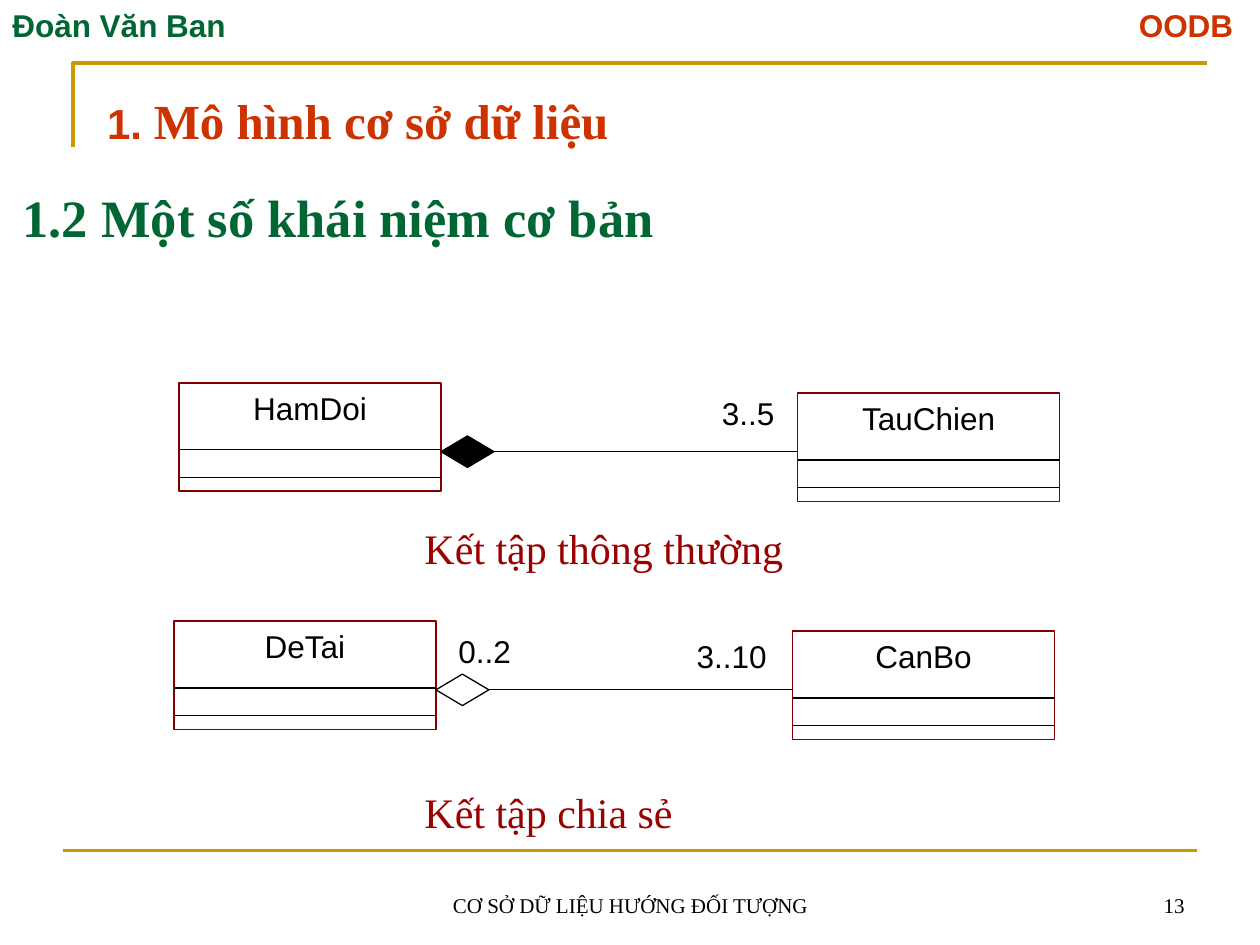
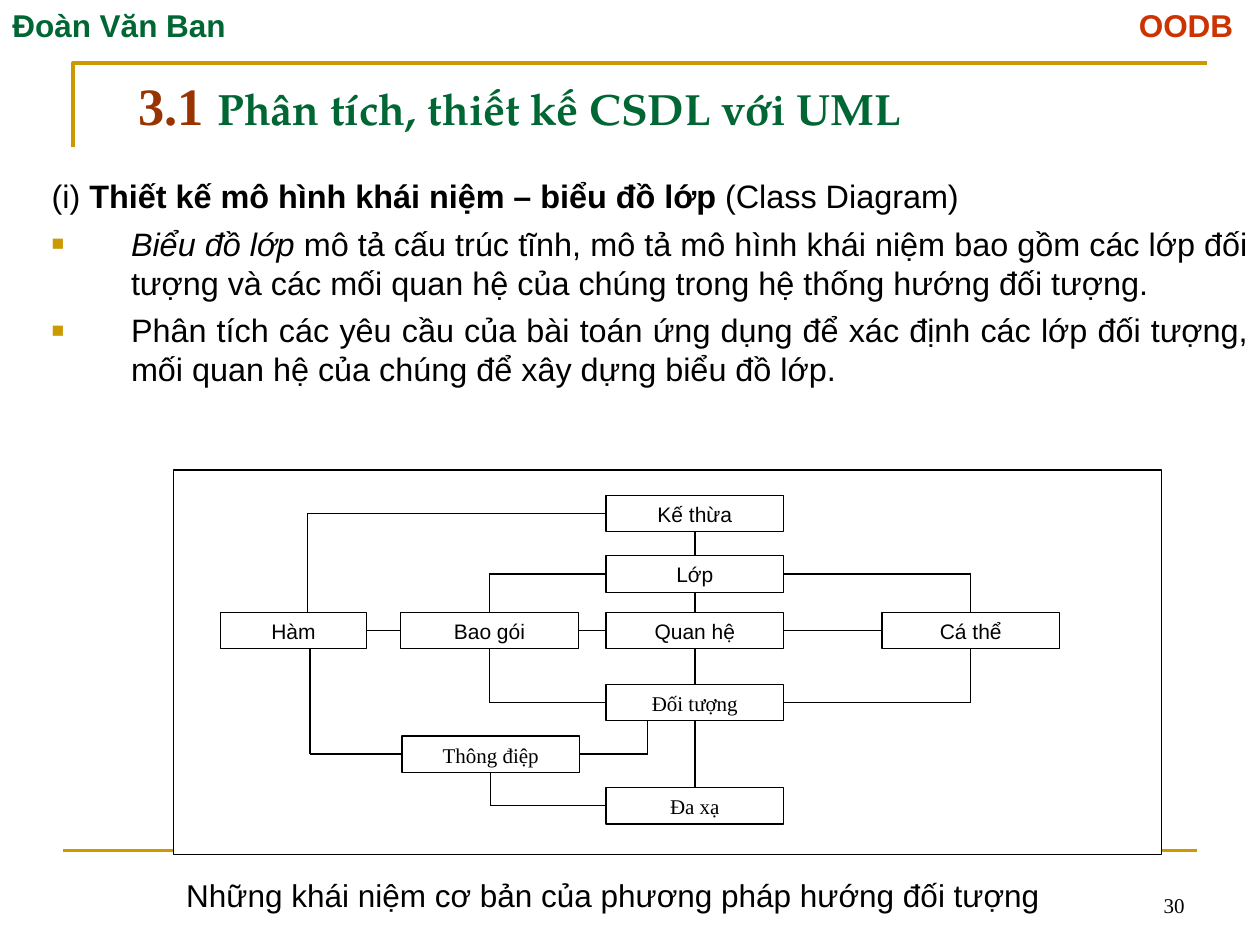
from lxml.etree import SubElement
from pptx import Presentation
from pptx.dml.color import RGBColor
from pptx.enum.shapes import MSO_CONNECTOR, MSO_SHAPE
from pptx.enum.text import MSO_ANCHOR as Anchor, MSO_AUTO_SIZE, PP_ALIGN as Align
from pptx.oxml.ns import qn
from pptx.shapes.base import BaseShape
from pptx.util import Inches, Pt

GREEN = RGBColor(0x00, 0x66, 0x33)
ORANGE = RGBColor(0xCC, 0x33, 0x00)
BROWN = RGBColor(0x99, 0x33, 0x00)
RED = RGBColor(0x99, 0x00, 0x00)
MAROON = RGBColor(0x80, 0x00, 0x00)
GOLD = RGBColor(0xCC, 0x99, 0x00)
BLACK = RGBColor(0x00, 0x00, 0x00)
WHITE = RGBColor(0xFF, 0xFF, 0xFF)
SANS, SERIF, DISPLAY = "Arial", "Times New Roman", "TeX Gyre Pagella"

TOP, LEFT, BOTTOM, RIGHT = range(4)
SITE_OFFSETS = {TOP: (0.5, 0), LEFT: (0, 0.5), BOTTOM: (0.5, 1), RIGHT: (1, 0.5)}


def add_span(para, text, size=18, font=SANS, color=BLACK, bold=False, italic=False):
    span = para.add_run()
    span.text = text
    span.font.size, span.font.name = Pt(size), font
    span.font.bold, span.font.italic = bold, italic
    span.font.color.rgb = color


def point(x, y):
    return Inches(x), Inches(y)


def locate(end):
    if not isinstance(end[0], BaseShape):
        return end
    shape, site = end
    across, down = SITE_OFFSETS[site]
    return int(shape.left + shape.width * across), int(shape.top + shape.height * down)


def set_indent(para, hanging, bullet=False):
    props = para._p.get_or_add_pPr()
    props.set("marL", str(Inches(hanging)))
    props.set("indent", str(-Inches(hanging)))
    if not bullet:
        SubElement(props, qn("a:buNone"))
        return
    color = SubElement(props, qn("a:buClr"))
    SubElement(color, qn("a:srgbClr"), val=str(GOLD))
    SubElement(props, qn("a:buSzPct"), val="65000")
    SubElement(props, qn("a:buFont"), typeface=SANS)
    SubElement(props, qn("a:buChar"), char="■")


class Lecture:
    def __init__(self):
        self.deck = Presentation()
        self.deck.slide_width, self.deck.slide_height = Inches(10), Inches(7.5)
        self.page = None

    def new_page(self, number, footer=None):
        layout = self.deck.slide_layouts[1]
        self.page = self.deck.slides.add_slide(layout)
        builder = self.page.shapes.build_freeform(*point(0.58, 1.17))
        builder.add_line_segments([point(0.58, 0.5), point(9.58, 0.5)], close=False)
        frame_line = builder.convert_to_shape()
        frame_line.shadow.inherit = False
        frame_line.fill.background()
        frame_line.line.color.rgb, frame_line.line.width = GOLD, Pt(2.25)
        self.line(point(0.5, 6.75), point(9.5, 6.75), GOLD, 1.5)

        header = self.text("Đoàn Văn Ban\t", 0, 0, 10, 0.4, color=GREEN, bold=True)
        para = header.text_frame.paragraphs[0]
        add_span(para, "OODB", color=ORANGE, bold=True)
        tabs = SubElement(para._p.get_or_add_pPr(), qn("a:tabLst"))
        SubElement(tabs, qn("a:tab"), pos=str(Inches(9.69)), algn="r")

        small = dict(size=12, font=SERIF, anchor=Anchor.BOTTOM)
        if footer:
            self.text(footer, 3.42, 6.83, 3.17, 0.5, align=Align.CENTER, **small)
        self.text(number, 7.17, 6.83, 2.33, 0.5, align=Align.RIGHT, **small)

    def prepare(self, box, align=Align.LEFT, anchor=Anchor.TOP):
        frame = box.text_frame
        frame.word_wrap, frame.auto_size = True, MSO_AUTO_SIZE.NONE
        frame.vertical_anchor = anchor
        frame.paragraphs[0].alignment = align
        return frame.paragraphs[0]

    def text(self, text, x, y, width, height, align=Align.LEFT, anchor=Anchor.TOP, **style):
        box = self.page.shapes.add_textbox(*point(x, y), *point(width, height))
        add_span(self.prepare(box, align, anchor), text, **style)
        return box

    def placeholder(self, index, x, y, width, height, anchor=Anchor.TOP):
        box = self.page.placeholders[index]
        box.left, box.top = point(x, y)
        box.width, box.height = point(width, height)
        self.prepare(box, anchor=anchor)
        return box.text_frame

    def title(self, x, y, width, height, anchor, spans):
        para = self.placeholder(0, x, y, width, height, anchor).paragraphs[0]
        for text, style in spans:
            add_span(para, text, bold=True, **style)

    def shape(self, x, y, width, height, kind=MSO_SHAPE.RECTANGLE, fill=None,
              color=BLACK, weight=0.75, text=None, **style):
        shape = self.page.shapes.add_shape(kind, *point(x, y), *point(width, height))
        shape.shadow.inherit = False
        if fill is None:
            shape.fill.background()
        else:
            shape.fill.solid()
            shape.fill.fore_color.rgb = fill
        shape.line.color.rgb, shape.line.width = color, Pt(weight)
        if text:
            add_span(self.prepare(shape, Align.CENTER), text, **style)
        return shape

    def line(self, start, end, color=BLACK, weight=0.75):
        line = self.page.shapes.add_connector(
            MSO_CONNECTOR.STRAIGHT, *locate(start), *locate(end))
        line.line.color.rgb, line.line.width = color, Pt(weight)
        SubElement(line._element.spPr, qn("a:effectLst"))
        if isinstance(start[0], BaseShape):
            line.begin_connect(*start)
        if isinstance(end[0], BaseShape):
            line.end_connect(*end)

    def bend(self, start, end):
        corner = locate(end)[0], locate(start)[1]
        self.line(start, corner)
        self.line(corner, end)

    def class_box(self, name, x, y):
        width, height = 2.08, 0.86
        self.shape(x, y, width, height, color=MAROON, weight=1, text=name)
        for offset in (0.53, 0.75):
            self.line(point(x, y + offset), point(x + width, y + offset))

    def aggregation(self, whole, part, x, y, fill):
        self.class_box(whole, x, y)
        self.class_box(part, x + 4.91, y + 0.08)
        diamond = self.shape(x + 2.08, y + 0.42, 0.42, 0.25,
                             kind=MSO_SHAPE.FLOWCHART_DECISION, fill=fill)
        level = locate((diamond, RIGHT))[1]
        self.line((diamond, RIGHT), (Inches(x + 4.91), level))


def build_aggregation_page(lecture):
    lecture.new_page("13", "CƠ SỞ DỮ LIỆU HƯỚNG ĐỐI TƯỢNG")
    lecture.title(0.75, 0.67, 9.25, 0.57, Anchor.TOP, [
        ("1. ", dict(size=24, color=ORANGE)),
        ("Mô hình cơ sở dữ liệu", dict(size=28, font=SERIF, color=ORANGE)),
    ])
    para = lecture.placeholder(1, 0.08, 1.42, 9.92, 1.25).paragraphs[0]
    set_indent(para, 0.38)
    add_span(para, "1.2 Một số khái niệm cơ bản", size=30, font=SERIF,
             color=GREEN, bold=True)

    lecture.aggregation("HamDoi", "TauChien", 1.42, 3.04, BLACK)
    lecture.aggregation("DeTai", "CanBo", 1.38, 4.93, WHITE)
    for label, x, y in [("3..5", 5.63, 3.08), ("0..2", 3.54, 4.97), ("3..10", 5.43, 5.01)]:
        lecture.text(label, x, y, 0.79, 0.4)
    for caption, y in [("Kết tập thông thường", 4.1), ("Kết tập chia sẻ", 6.19)]:
        lecture.text(caption, 3.27, y, 3.19, 0.47, size=24, font=SERIF, color=RED)


def build_concept_page(lecture):
    lecture.new_page("30")
    lecture.title(1, 0.21, 9, 0.92, Anchor.BOTTOM, [
        ("3.1 ", dict(size=30, font=SERIF, color=BROWN)),
        ("Phân tích, thiết kế CSDL với UML", dict(size=25, font=DISPLAY, color=GREEN)),
    ])
    points = [
        [("(i) ", {}), ("Thiết kế mô hình khái niệm – biểu đồ lớp", dict(bold=True)),
         (" (Class Diagram)", {})],
        [("Biểu đồ lớp ", dict(italic=True)),
         ("mô tả cấu trúc tĩnh, mô tả mô hình khái niệm bao gồm các lớp đối tượng "
          "và các mối quan hệ của chúng trong hệ thống hướng đối tượng.", {})],
        [("Phân tích các yêu cầu của bài toán ứng dụng để xác định các lớp đối tượng, "
          "mối quan hệ của chúng để xây dựng biểu đồ lớp.", {})],
    ]
    frame = lecture.placeholder(1, 0.31, 1.35, 9.69, 2.08)
    for index, spans in enumerate(points):
        para = frame.add_paragraph() if index else frame.paragraphs[0]
        para.alignment, para.space_before = Align.JUSTIFY, Pt(5)
        set_indent(para, 0.63, bullet=index > 0)
        for text, style in spans:
            add_span(para, text, size=18.5, **style)

    lecture.shape(1.38, 3.73, 7.84, 3.05, fill=WHITE)
    center, row = 4.81, 4.86

    def concept(name, x, y, width=1.41, font=SANS):
        return lecture.shape(x, y, width, 0.29, fill=WHITE, text=name, size=12, font=font)

    inheritance = concept("Kế thừa", center, 3.93)
    class_node = concept("Lớp", center, 4.41)
    relation = concept("Quan hệ", center, row)
    object_node = concept("Đối tượng", center, 5.43, font=SERIF)
    instance = concept("Cá thể", 7, row)
    encapsulation = concept("Bao gói", 3.18, row)
    function = concept("Hàm", 1.75, row, width=1.16)
    message = concept("Thông điệp", 3.19, 5.84, font=SERIF)
    polymorphism = concept("Đa xạ", center, 6.25, font=SERIF)

    column = [inheritance, class_node, relation, object_node, polymorphism]
    for upper, lower in zip(column, column[1:]):
        lecture.line((upper, BOTTOM), (lower, TOP))
    across = [function, encapsulation, relation, instance]
    for before, after in zip(across, across[1:]):
        lecture.line((before, RIGHT), (after, LEFT))

    lecture.bend((inheritance, LEFT), point(2.44, row))
    lecture.bend((class_node, LEFT), (encapsulation, TOP))
    lecture.bend((class_node, RIGHT), (instance, TOP))
    lecture.bend((object_node, LEFT), (encapsulation, BOTTOM))
    lecture.bend((object_node, RIGHT), (instance, BOTTOM))
    lecture.bend((message, LEFT), point(2.46, row + 0.29))
    lecture.bend((message, RIGHT), point(5.14, 5.72))
    lecture.bend((polymorphism, LEFT), (message, BOTTOM))

    lecture.text("Những khái niệm cơ bản của phương pháp hướng đối tượng",
                 1.38, 6.9, 7.2, 0.4, anchor=Anchor.MIDDLE)


def main():
    lecture = Lecture()
    build_aggregation_page(lecture)
    build_concept_page(lecture)
    lecture.deck.save("out.pptx")


if __name__ == "__main__":
    main()
